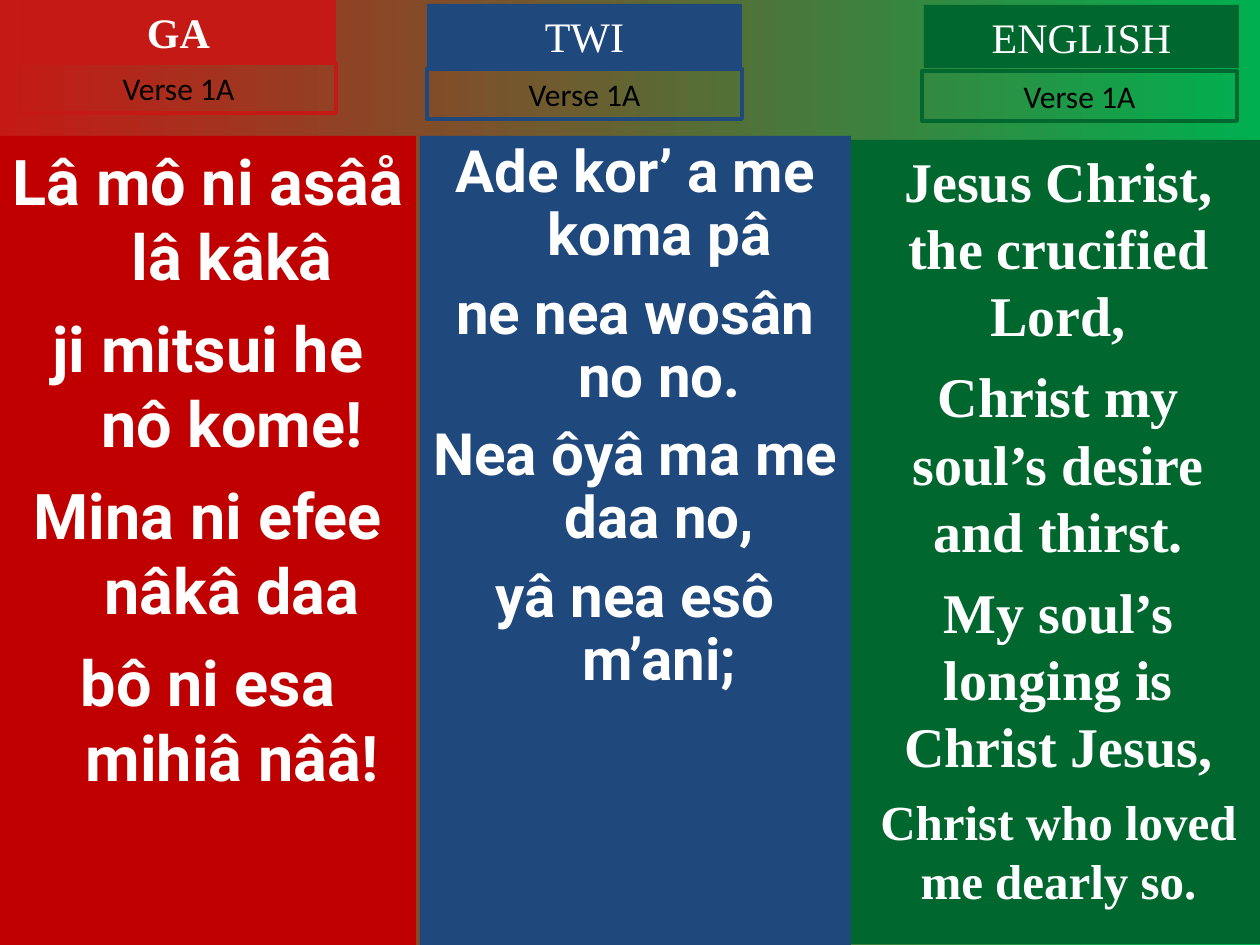
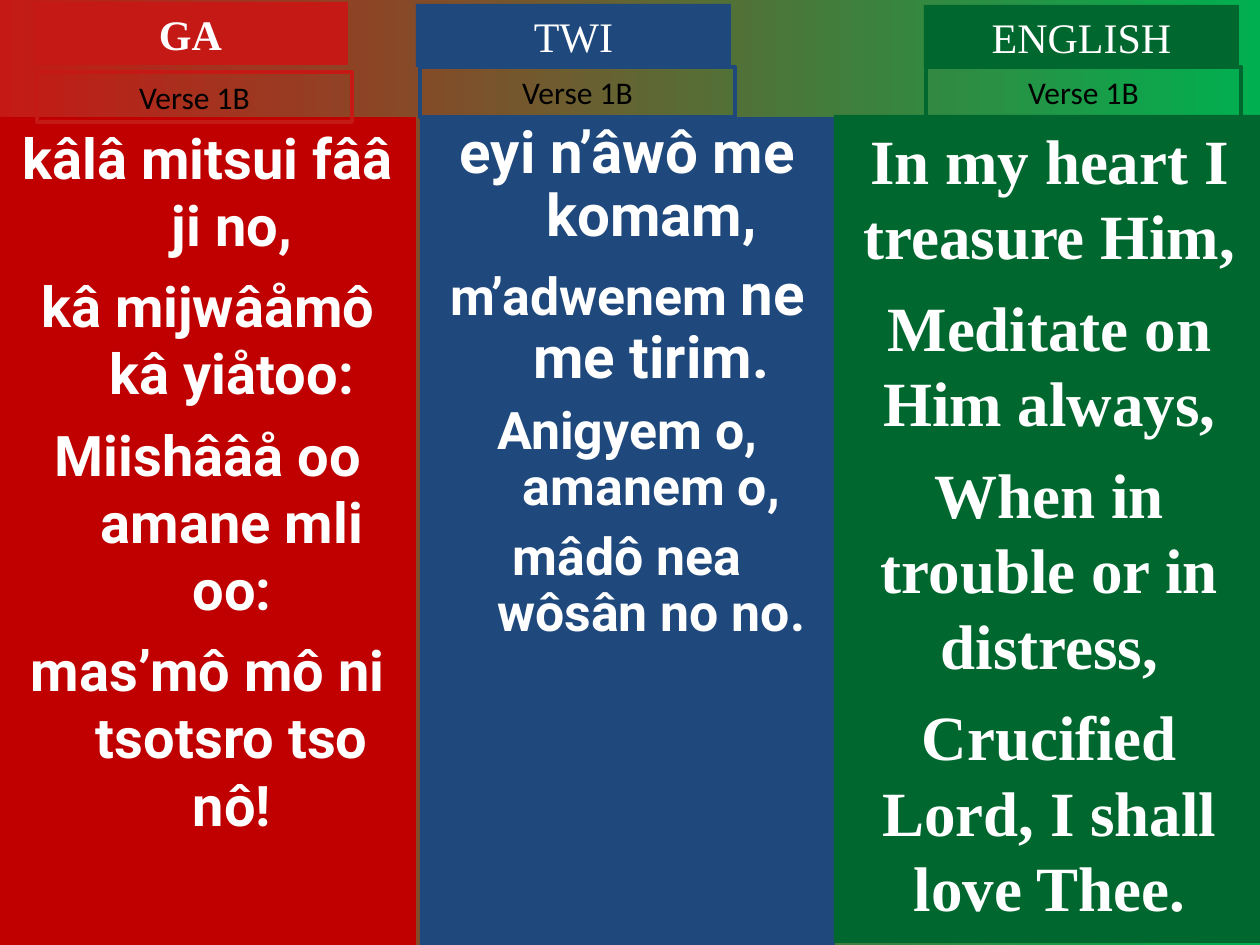
from dataclasses import dataclass

from pptx import Presentation
from pptx.dml.color import RGBColor
from pptx.enum.shapes import MSO_SHAPE
from pptx.enum.text import MSO_ANCHOR, PP_ALIGN
from pptx.util import Emu, Pt

RECTANGLE = MSO_SHAPE.RECTANGLE
TOP = MSO_ANCHOR.TOP
CENTER = PP_ALIGN.CENTER
PIXELS_PER_INCH = 126
BLANK_LAYOUT = 6


@dataclass(frozen=True)
class Theme:
    white: str = "FFFFFF"
    black: str = "000000"
    gradient: tuple = ("C51915", "00B050")
    header_font: str = "Times New Roman"
    header_size: int = 24
    tag_font: str = "Calibri"
    tag_size: int = 18
    tag_line: float = 2.25
    space_ratio: float = 0.25


THEME = Theme()

LANGUAGES = {
    "GA": dict(panel="C00000", accent="C51915", font="Roboto",
               header_bold=True, hanging=48, line_spacing=None, scale=1),
    "TWI": dict(panel="1F497D", accent="1F497D", font="Roboto",
                header_bold=False, hanging=48, line_spacing=0.9, scale=0.925),
    "ENGLISH": dict(panel="00682F", accent="00682F", font="Times New Roman",
                    header_bold=False, hanging=0, line_spacing=None, scale=1),
}

HEADER_SIZE = (315, 63)
TAG_SIZE = (315, 50)

VERSES = [
    ("Verse 1A", {
        "GA": dict(
            panel=(0, 136, 416, 809), header=(21, 0), tag=(21, 63),
            lines=[[("Lâ mô ni asâå lâ kâkâ", 36)],
                   [("ji mitsui he nô kome!", 36)],
                   [("Mina ni efee nâkâ daa", 36)],
                   [("bô ni esa mihiâ nââ!", 36)]]),
        "TWI": dict(
            panel=(420, 136, 431, 809), header=(427, 4), tag=(427, 69),
            lines=[[("Ade kor’ a me koma pâ", 36)],
                   [("ne nea wosân no no.", 36)],
                   [("Nea ôyâ ma me daa no,", 36)],
                   [("yâ nea esô m’ani;", 36)]]),
        "ENGLISH": dict(
            panel=(851, 140, 415, 804), header=(924, 5), tag=(922, 71),
            lines=[[("Jesus Christ, the crucified Lord,", 32)],
                   [("Christ my soul’s desire and thirst.", 32)],
                   [("My soul’s longing is Christ Jesus,", 32)],
                   [("Christ who loved me dearly so.", 28)]]),
    }),
    ("Verse 1B", {
        "GA": dict(
            panel=(0, 117, 416, 828), header=(33, 2), tag=(37, 72),
            lines=[[("kâlâ mitsui fââ ji no,", 32)],
                   [("kâ mijwâåmô kâ yiåtoo:", 32)],
                   [("Miishââå oo amane mli oo:", 32)],
                   [("mas’mô mô ni tsotsro tso nô!", 32)]]),
        "TWI": dict(
            panel=(420, 117, 415, 828), header=(416, 4), tag=(420, 67),
            lines=[[("eyi n’âwô me komam,", 36)],
                   [("m’adwenem ", 32), ("ne me tirim.", 36)],
                   [("Anigyem o, amanem o,", 32)],
                   [("mâdô nea wôsân no no.", 32)]]),
        "ENGLISH": dict(
            panel=(834, 115, 431, 828), header=(924, 5), tag=(926, 67),
            lines=[[("In my heart I treasure Him,", 36)],
                   [("Meditate on Him always,", 36)],
                   [("When in trouble or in distress,", 36)],
                   [("Crucified Lord, I shall love Thee.", 36)]]),
    }),
]


def px(length):
    return Emu(round(length * 914400 / PIXELS_PER_INCH))


def color(value):
    return RGBColor.from_string(value)


def add_box(slide, box, fill=None, line=None):
    shape = slide.shapes.add_shape(RECTANGLE, *map(px, box))
    shape.shadow.inherit = False
    if fill:
        shape.fill.solid()
        shape.fill.fore_color.rgb = color(fill)
    else:
        shape.fill.background()
    if line:
        shape.line.color.rgb = color(line)
        shape.line.width = Pt(THEME.tag_line)
    else:
        shape.line.fill.background()
    shape.text_frame.word_wrap = True
    shape.text_frame.vertical_anchor = TOP
    return shape


def format_font(font, name, size, rgb, bold=False):
    font.name = name
    font.size = Pt(size)
    font.bold = bold
    font.color.rgb = color(rgb)


def add_label(slide, box, text, name, size, rgb, bold=False, **box_style):
    shape = add_box(slide, box, **box_style)
    shape.text_frame.text = text
    paragraph = shape.text_frame.paragraphs[0]
    paragraph.alignment = CENTER
    format_font(paragraph.runs[0].font, name, size, rgb, bold)


def add_lyrics(slide, box, lines, language):
    text_frame = add_box(slide, box, fill=language["panel"]).text_frame
    for index, line in enumerate(lines):
        paragraph = text_frame.add_paragraph() if index else text_frame.paragraphs[0]
        paragraph.alignment = CENTER
        if language["hanging"]:
            properties = paragraph._p.get_or_add_pPr()
            hanging = px(language["hanging"])
            properties.set("marL", str(hanging))
            properties.set("indent", str(-hanging))
        if language["line_spacing"]:
            paragraph.line_spacing = language["line_spacing"]
        if index:
            largest = max(size for _, size in line)
            paragraph.space_before = Pt(largest * THEME.space_ratio)
        for text, size in line:
            run = paragraph.add_run()
            run.text = text
            format_font(run.font, language["font"], size * language["scale"],
                        THEME.white, bold=True)


def add_column(slide, name, verse, column):
    language = LANGUAGES[name]
    add_lyrics(slide, column["panel"], column["lines"], language)
    add_label(slide, column["header"] + HEADER_SIZE, name,
              THEME.header_font, THEME.header_size, THEME.white,
              language["header_bold"], fill=language["accent"])
    add_label(slide, column["tag"] + TAG_SIZE, verse,
              THEME.tag_font, THEME.tag_size, THEME.black,
              line=language["accent"])


def set_background(master):
    fill = master.background.fill
    fill.gradient()
    fill.gradient_angle = 0
    for stop, value in zip(fill.gradient_stops, THEME.gradient):
        stop.color.rgb = color(value)


def main():
    presentation = Presentation()
    presentation.slide_width = px(1260)
    presentation.slide_height = px(945)
    set_background(presentation.slide_master)
    for verse, columns in VERSES:
        slide = presentation.slides.add_slide(presentation.slide_layouts[BLANK_LAYOUT])
        for name, column in columns.items():
            add_column(slide, name, verse, column)
    presentation.save("out.pptx")


if __name__ == "__main__":
    main()
